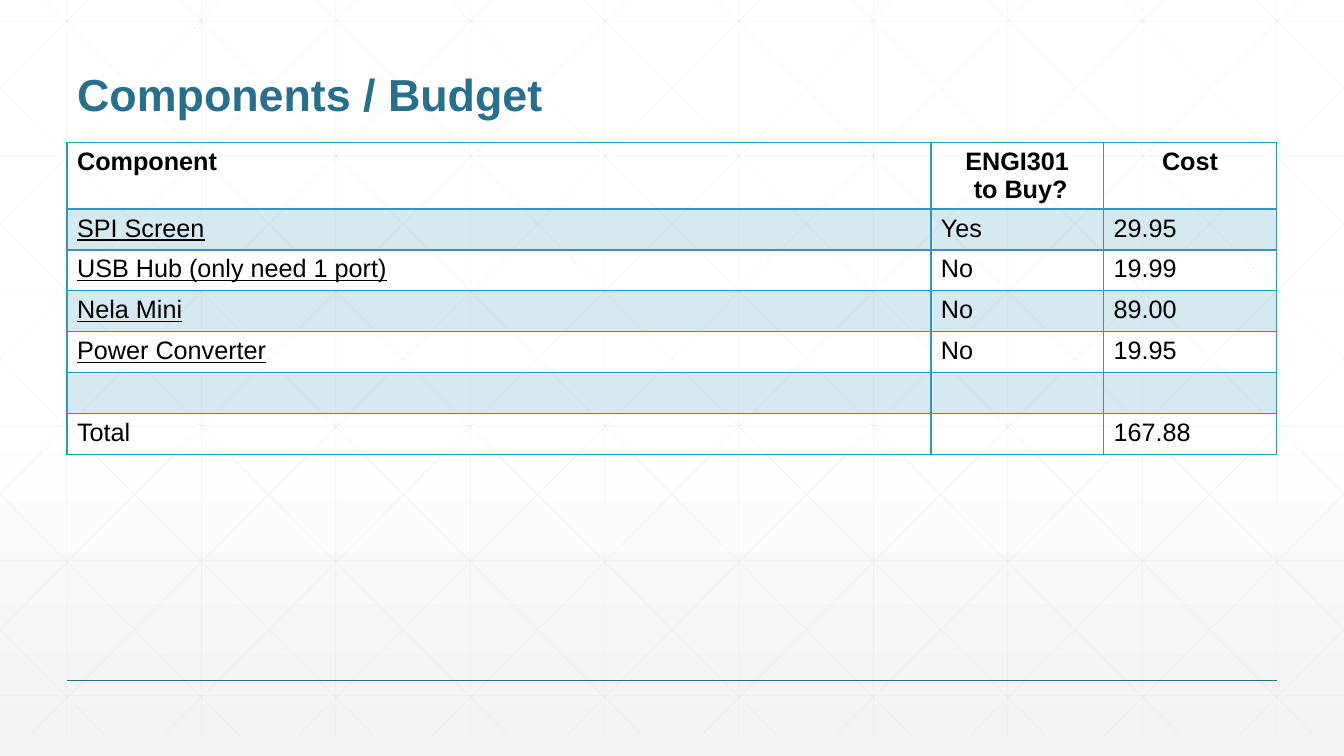
import pptx
import pptx.dml.color
import pptx.enum.shapes
import pptx.enum.text
import pptx.oxml.ns
import pptx.util
from lxml import etree

Cm, Pt = pptx.util.Cm, pptx.util.Pt
qn = pptx.oxml.ns.qn
COLORS = {name: pptx.dml.color.RGBColor.from_string(value) for name, value in {
    "white": "FFFFFF", "fade": "F2F2F2", "grid": "D9D9D9",
    "title": "276F8B", "accent": "3494BA", "text": "000000",
}.items()}
WIDTH, MARGIN, CONTENT_WIDTH = 33.87, 1.69, 30.48


def add_line(shapes, start, end, color, weight, opacity=100):
    """Add a straight line without shadow; points are in cm, opacity in percent."""
    line = shapes.add_connector(pptx.enum.shapes.MSO_CONNECTOR.STRAIGHT,
                                *(Cm(value) for value in start + end))
    line.line.color.rgb = COLORS[color]
    line.line.width = Pt(weight)
    properties = line.element.spPr
    etree.SubElement(properties, qn("a:effectLst"))
    if opacity < 100:
        set_opacity(properties.find(f"{qn('a:ln')}/{qn('a:solidFill')}"), opacity)


def set_opacity(solid_fill, percent):
    etree.SubElement(solid_fill[0], qn("a:alpha"), val=str(percent * 1000))


presentation = pptx.Presentation()
presentation.slide_width, presentation.slide_height = Cm(WIDTH), Cm(19.05)
slide = presentation.slides.add_slide(presentation.slide_layouts[5])

# Background fading to grey at the bottom
background = slide.background.fill
background.gradient()
background.gradient_angle = 270
for stop, color, position in zip(background.gradient_stops, ("white", "fade"), (0.53, 1)):
    stop.color.rgb = COLORS[color]
    stop.position = position

# Title
title = slide.shapes.title
title.left, title.top, title.width, title.height = (
    Cm(value) for value in (MARGIN, 0.64, CONTENT_WIDTH, 2.54))
title.text_frame.text = "Components / Budget"
title.text_frame.auto_size = pptx.enum.text.MSO_AUTO_SIZE.NONE
title.text_frame.vertical_anchor = pptx.enum.text.MSO_ANCHOR.BOTTOM
heading = title.text_frame.paragraphs[0]
heading.alignment = pptx.enum.text.PP_ALIGN.LEFT
heading.line_spacing = 0.9
for attribute, value in {"name": "Arial", "size": Pt(32), "bold": True}.items():
    setattr(heading.font, attribute, value)
heading.font.color.rgb = COLORS["title"]

# Faint grid with diagonals, placed behind the title
PITCH, GRID_BOTTOM, DIAGONAL_RUN = WIDTH / 10, 18.52, 18.4
slope = GRID_BOTTOM / DIAGONAL_RUN
grid_lines = []
for column in range(10):
    x = MARGIN + column * PITCH
    grid_lines.append(((x, 0), (x, GRID_BOTTOM)))
for row in range(6):
    y = 0.53 + row * 3.4
    grid_lines.append(((0, y), (WIDTH, y)))
for step in range(-5, 10):
    x = 1.17 + step * PITCH
    left, right = max(x, 0), min(x + DIAGONAL_RUN, WIDTH)
    top, bottom = (left - x) * slope, (right - x) * slope
    grid_lines.append(((left, top), (right, bottom)))
    grid_lines.append(((WIDTH - left, top), (WIDTH - right, bottom)))

grid = slide.shapes.add_group_shape()
for start, end in grid_lines:
    add_line(grid.shapes, start, end, "grid", 0.5, opacity=25)
title.element.addprevious(grid.element)

# Rule above the footer
add_line(slide.shapes, (MARGIN, 17.15), (MARGIN + CONTENT_WIDTH, 17.15), "title", 1)

# Budget table
BUDGET = [
    ("Component", "ENGI301\n to Buy?", "Cost"),
    ("SPI Screen", "Yes", "29.95"),
    ("USB Hub (only need 1 port)", "No", "19.99"),
    ("Nela Mini", "No", "89.00"),
    ("Power Converter", "No", "19.95"),
    ("", "", ""),
    ("Total", "", "167.88"),
]
HEADER_HEIGHT, ROW_HEIGHT = 1.68, 1.03
budget = slide.shapes.add_table(
    len(BUDGET), 3, Cm(MARGIN), Cm(3.59), Cm(CONTENT_WIDTH),
    Cm(HEADER_HEIGHT + 6 * ROW_HEIGHT)).table
for column, width in zip(budget.columns, (21.77, 4.35, 4.36)):
    column.width = Cm(width)

for row_index, entries in enumerate(BUDGET):
    is_header = row_index == 0
    budget.rows[row_index].height = Cm(HEADER_HEIGHT if is_header else ROW_HEIGHT)
    for column_index, entry in enumerate(entries):
        cell = budget.cell(row_index, column_index)
        cell.text = entry
        cell_properties = cell._tc.get_or_add_tcPr()
        for side in "LRTB":
            thick = (is_header and side == "B") or (row_index == 1 and side == "T")
            border = etree.SubElement(cell_properties, qn(f"a:ln{side}"),
                                      w=str(Pt(2 if thick else 1)))
            border_fill = etree.SubElement(border, qn("a:solidFill"))
            etree.SubElement(border_fill, qn("a:srgbClr"), val=str(COLORS["accent"]))
        if row_index % 2:
            cell.fill.solid()
            cell.fill.fore_color.rgb = COLORS["accent"]
            set_opacity(cell_properties.find(qn("a:solidFill")), 20)
        else:
            cell.fill.background()
        font_format = {
            "name": "Arial", "size": Pt(18), "bold": is_header,
            "underline": column_index == 0 and 1 <= row_index <= 4,
        }
        for paragraph in cell.text_frame.paragraphs:
            if is_header and column_index:
                paragraph.alignment = pptx.enum.text.PP_ALIGN.CENTER
            for attribute, value in font_format.items():
                setattr(paragraph.font, attribute, value)
            paragraph.font.color.rgb = COLORS["text"]

presentation.save("out.pptx")
